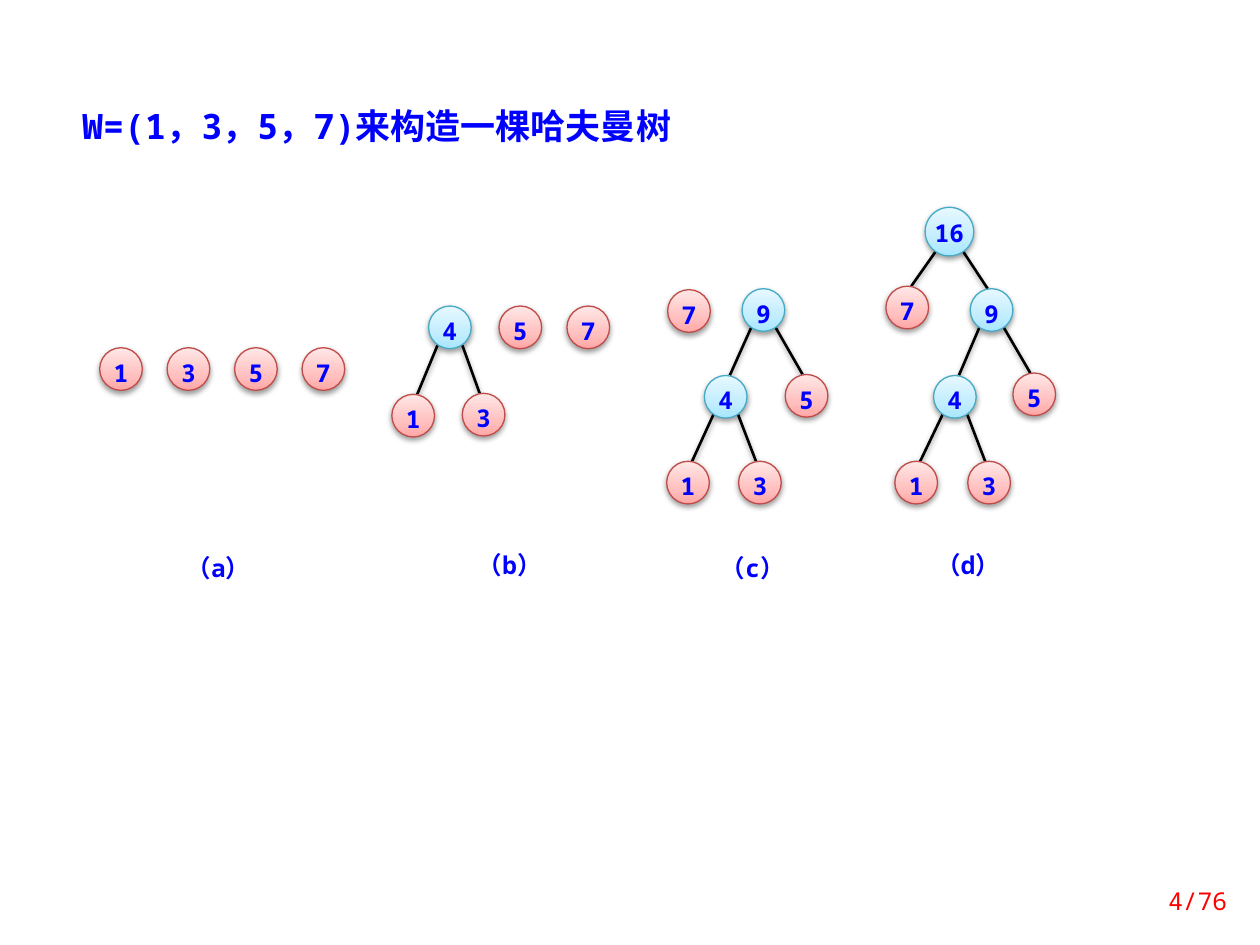
from copy import deepcopy

from lxml import etree
from pptx import Presentation
from pptx.dml.color import RGBColor
from pptx.enum import shapes, text
from pptx.oxml import ns
from pptx.util import Cm, Pt

FONT = "Noto Sans Mono"
COLORS = {"text": "0000FF", "page": "FF0000", "edge": "000000"}
# Line colour, then gradient stops from bottom to top
NODE_COLORS = {
    "leaf": ("BF4C48", ("FFA6A5", "FFC0BF", "FFE7E7")),
    "inner": ("46AAC5", ("A7E6FF", "C1EDFF", "E7F8FF")),
}
STOP_POSITIONS = (0, 0.35, 1)

# All lengths in centimetres
NODE_SIZE = 0.86
ROOT_SIZE = 0.98
EDGE_START = (0.25, 0.36)  # from the parent's centre
EDGE_LEAN = 0.08           # from the child's top towards the parent
PANEL_TOP = 4.19

# Node centres and captions are relative to the panel's top left corner
PANELS = [
    {"left": 2, "caption": ("（a）", 1.53, 6.88), "edges": [],
     "nodes": {value: (0.44 + 1.36 * i, 3.25) for i, value in enumerate("1357")}},
    {"left": 7.9, "caption": ("（b）", 1.5, 6.83), "edges": ["41", "43"],
     "nodes": {"4": (1.17, 2.41), "5": (2.59, 2.41), "7": (3.96, 2.41),
               "1": (0.43, 4.19), "3": (1.85, 4.17)}},
    {"left": 13.44, "caption": ("（c）", 0.86, 6.88), "edges": ["94", "95", "41", "43"],
     "nodes": {"9": (1.95, 2.06), "4": (1.19, 3.81), "1": (0.43, 5.54),
               "7": (0.45, 2.08), "5": (2.82, 3.79), "3": (1.88, 5.54)}},
    {"left": 17.86, "caption": ("（d）", 0.78, 6.83),
     "edges": [("16", "7"), ("16", "9"), "94", "95", "41", "43"],
     "nodes": {"16": (1.28, 0.48), "9": (2.13, 2.06), "4": (1.39, 3.81),
               "1": (0.61, 5.54), "7": (0.43, 2.01), "5": (2.99, 3.76),
               "3": (2.08, 5.54)}},
]


def rgb(value):
    return RGBColor.from_string(value)


def write_text(shape, content, size, color, align, bold=True):
    shape.text_frame.text = content
    paragraph = shape.text_frame.paragraphs[0]
    paragraph.alignment = align
    for run in paragraph.runs:
        run.font.name = FONT
        run.font.size = Pt(size)
        run.font.bold = bold
        run.font.color.rgb = rgb(color)
        etree.SubElement(run.font._element, ns.qn("a:ea"), typeface=FONT)
    return paragraph


def write_label(shape, content):
    """Centred label without margins, used in nodes and captions."""
    frame = shape.text_frame
    frame.margin_left = frame.margin_right = frame.margin_top = frame.margin_bottom = 0
    frame.word_wrap = True
    frame.vertical_anchor = text.MSO_ANCHOR.TOP
    paragraph = write_text(shape, content, 14, COLORS["text"], text.PP_ALIGN.CENTER)
    paragraph.line_spacing = Pt(19)


def add_soft_shadow(shape):
    effects = etree.SubElement(shape._element.spPr, ns.qn("a:effectLst"))
    shadow = etree.SubElement(effects, ns.qn("a:outerShdw"), blurRad=str(Pt(3.1)),
                              dist=str(Pt(1.6)), dir="5400000", rotWithShape="0")
    color = etree.SubElement(shadow, ns.qn("a:srgbClr"), val="000000")
    etree.SubElement(color, ns.qn("a:alpha"), val="38000")


def add_edge(group, parent, child):
    side = 1 if child[0] > parent[0] else -1
    edge = group.shapes.add_connector(
        shapes.MSO_CONNECTOR.STRAIGHT,
        Cm(parent[0] + side * EDGE_START[0]), Cm(parent[1] + EDGE_START[1]),
        Cm(child[0] - side * EDGE_LEAN), Cm(child[1] - NODE_SIZE / 2))
    edge.line.color.rgb = rgb(COLORS["edge"])
    edge.line.width = Pt(1.5)
    add_soft_shadow(edge)


def add_node(group, value, center, kind):
    size = ROOT_SIZE if value == "16" else NODE_SIZE
    node = group.shapes.add_shape(
        shapes.MSO_SHAPE.OVAL, Cm(center[0] - size / 2), Cm(center[1] - size / 2),
        Cm(size), Cm(size))
    line_color, stop_colors = NODE_COLORS[kind]
    node.fill.gradient()
    node.fill.gradient_angle = 90
    last_stop = node.fill.gradient_stops[1]._gs
    last_stop.addnext(deepcopy(last_stop))
    for stop, color, position in zip(node.fill.gradient_stops, stop_colors, STOP_POSITIONS):
        stop.color.rgb = rgb(color)
        stop.position = position
    node.line.color.rgb = rgb(line_color)
    node.line.width = Pt(0.75)
    add_soft_shadow(node)
    write_label(node, value)


def add_panel(slide, left, top, nodes, edges, caption):
    """One construction step: edges, nodes and caption in a group."""
    group = slide.shapes.add_group_shape()
    centers = {value: (left + x, top + y) for value, (x, y) in nodes.items()}
    for parent, child in edges:
        add_edge(group, centers[parent], centers[child])
    parents = {parent for parent, _ in edges}
    for value, center in centers.items():
        add_node(group, value, center, "inner" if value in parents else "leaf")
    label, x, y = caption
    box = group.shapes.add_textbox(Cm(left + x), Cm(top + y), Cm(1.75), Cm(0.84))
    write_label(box, label)


def add_title(slide, left, top, width, height):
    title = slide.shapes.title
    title.left, title.top, title.width, title.height = map(Cm, (left, top, width, height))
    title.text_frame.vertical_anchor = text.MSO_ANCHOR.TOP
    title.text_frame.auto_size = text.MSO_AUTO_SIZE.NONE
    write_text(title, "W=(1，3，5，7)来构造一棵哈夫曼树", 20, COLORS["text"],
               text.PP_ALIGN.LEFT)


def add_page_number(slide, left, top, width, height):
    box = slide.shapes.add_textbox(Cm(left), Cm(top), Cm(width), Cm(height))
    box.text_frame.word_wrap = True
    box.text_frame.vertical_anchor = text.MSO_ANCHOR.MIDDLE
    write_text(box, "4/76", 14, COLORS["page"], text.PP_ALIGN.RIGHT, bold=False)


def main():
    presentation = Presentation()
    presentation.slide_width, presentation.slide_height = Cm(25.4), Cm(19.05)
    slide = presentation.slides.add_slide(presentation.slide_layouts[5])
    add_title(slide, 1.4, 1.98, 15.47, 1.12)
    for panel in PANELS:
        add_panel(slide, top=PANEL_TOP, **panel)
    add_page_number(slide, 22.3, 17.65, 2.69, 1.02)
    presentation.save("out.pptx")


if __name__ == "__main__":
    main()
